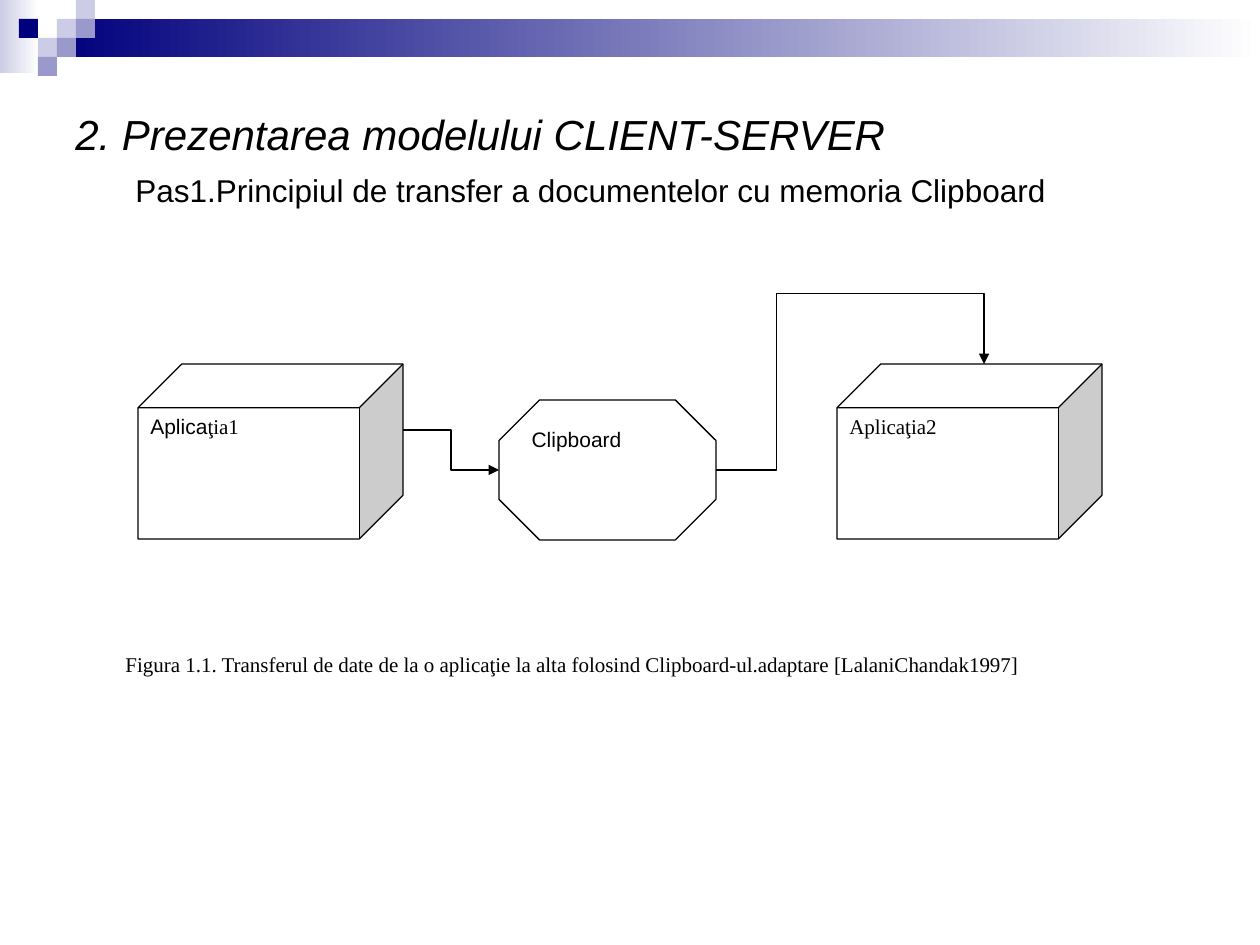
"""Build the Clipboard transfer slide of the client-server model."""
from lxml import etree
from pptx import Presentation
from pptx.dml.color import RGBColor
from pptx.enum.shapes import MSO_CONNECTOR, MSO_SHAPE
from pptx.enum.text import MSO_ANCHOR, PP_ALIGN
from pptx.oxml.ns import qn
from pptx.util import Pt

PX = 914400 / 126
BLACK = RGBColor(0, 0, 0)
WHITE = RGBColor(255, 255, 255)
NAVY = RGBColor(0, 0, 0x7D)
LILAC = RGBColor(0xCC, 0xCC, 0xE6)
VIOLET = RGBColor(0x99, 0x99, 0xCC)
SANS, SERIF = "Arial", "Times New Roman"


def px(*lengths):
    return [round(length * PX) for length in lengths]


def write(box, text, font=SANS, size=12, italic=False, before=0,
          anchor=MSO_ANCHOR.TOP, tail="", tail_font=SERIF):
    frame = box.text_frame
    frame.word_wrap = True
    frame.vertical_anchor = anchor
    para = frame.paragraphs[0]
    para.alignment = PP_ALIGN.LEFT
    para.space_before = Pt(before)
    for words, name in ((text, font), (tail, tail_font)):
        if words:
            span = para.add_run()
            span.text = words
            span.font.name = name
            span.font.size = Pt(size)
            span.font.italic = italic
            span.font.color.rgb = BLACK


deck = Presentation()
deck.slide_width, deck.slide_height = px(1260, 945)
page = deck.slides.add_slide(deck.slide_layouts[6])

for bounds, color in (((0, 0, 39, 73), LILAC), ((57, 19, 1203, 38), NAVY)):
    band = page.shapes.add_shape(MSO_SHAPE.RECTANGLE, *px(*bounds))
    band.shadow.inherit = False
    band.line.fill.background()
    band.fill.gradient()
    band.fill.gradient_angle = 0
    for stop, stop_color in zip(band.fill.gradient_stops, (color, WHITE)):
        stop.color.rgb = stop_color

TILE = 19
tiles = ((3, 1, LILAC), (4, 0, LILAC), (4, 1, VIOLET), (2, 2, LILAC),
         (1, 1, NAVY), (3, 2, VIOLET), (2, 3, VIOLET))
for column, row, color in tiles:
    tile = page.shapes.add_shape(
        MSO_SHAPE.RECTANGLE, *px(column * TILE, row * TILE, TILE, TILE))
    tile.shadow.inherit = False
    tile.line.fill.background()
    tile.fill.solid()
    tile.fill.fore_color.rgb = color

title = page.shapes.add_textbox(*px(63, 63, 1134, 189))
title.text_frame.margin_bottom = px(54)[0]
write(title, "2. Prezentarea modelului CLIENT-SERVER", size=24, italic=True,
      anchor=MSO_ANCHOR.MIDDLE)

nodes = (
    (MSO_SHAPE.CUBE, (138, 364, 265, 175), 0.25,
     {"text": "Aplica", "tail": "ţia1"}),
    (MSO_SHAPE.OCTAGON, (499, 400, 217, 140), 0.29, {"text": "Clipboard"}),
    (MSO_SHAPE.CUBE, (837, 364, 265, 175), 0.25,
     {"text": "Aplicaţia2", "font": SERIF}),
)
for kind, bounds, adjustment, label in nodes:
    node = page.shapes.add_shape(kind, *px(*bounds))
    node.adjustments[0] = adjustment
    node.shadow.inherit = False
    node.fill.solid()
    node.fill.fore_color.rgb = WHITE
    node.line.color.rgb = BLACK
    node.line.width = Pt(0.75)
    write(node, **label)

arrows = (
    ((403, 430, 499, 470), "bentConnector3", (50000,)),
    ((716, 470, 984, 364), "bentConnector4", (22500, 166400)),
)
for ends, preset, bends in arrows:
    arrow = page.shapes.add_connector(MSO_CONNECTOR.ELBOW, *px(*ends))
    arrow.line.color.rgb = BLACK
    arrow.line.width = Pt(0.75)
    etree.SubElement(arrow.line._get_or_add_ln(), qn("a:tailEnd"), type="triangle")
    properties = arrow._element.spPr
    etree.SubElement(properties, qn("a:effectLst"))
    geometry = properties.find(qn("a:prstGeom"))
    geometry.set("prst", preset)
    guides = geometry.find(qn("a:avLst"))
    for number, bend in enumerate(bends, 1):
        etree.SubElement(guides, qn("a:gd"), name=f"adj{number}", fmla=f"val {bend}")

caption = page.shapes.add_shape(MSO_SHAPE.RECTANGLE, *px(113, 645, 988, 140))
caption.shadow.inherit = False
caption.fill.solid()
caption.fill.fore_color.rgb = WHITE
caption.line.fill.background()
write(caption, "Figura 1.1. Transferul de date de la o aplicaţie la alta folosind "
      "Clipboard-ul.adaptare [LalaniChandak1997]", font=SERIF)

subtitle = page.shapes.add_textbox(*px(123, 165, 1062, 50))
write(subtitle, "Pas1.Principiul de transfer a documentelor cu memoria Clipboard",
      size=18, before=11.2)

deck.save("out.pptx")
